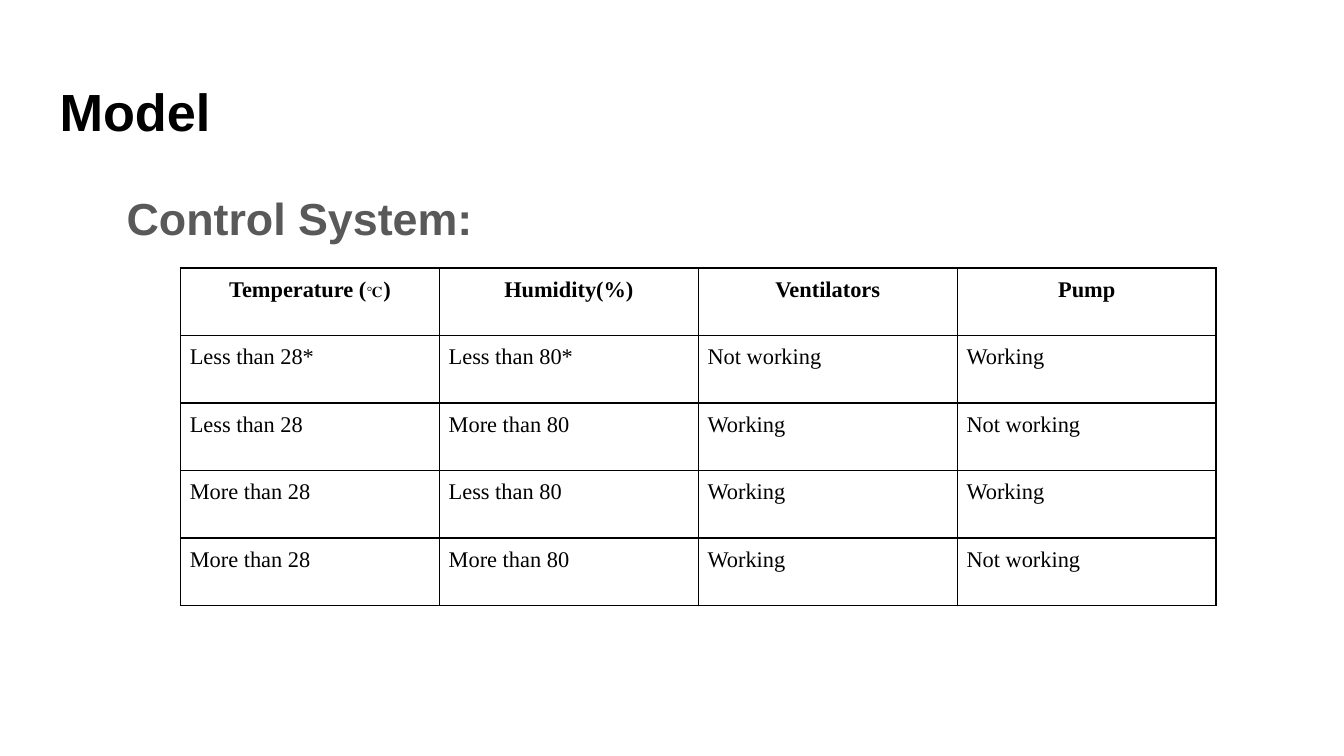
from dataclasses import dataclass

from lxml import etree
from pptx import Presentation
from pptx.dml.color import RGBColor
from pptx.enum.text import MSO_ANCHOR, MSO_AUTO_SIZE, PP_ALIGN
from pptx.oxml.ns import qn
from pptx.util import Pt

PX = 5715  # 160 px to the inch
TOP = MSO_ANCHOR.TOP
FIXED = MSO_AUTO_SIZE.NONE
LEFT, CENTER = PP_ALIGN.LEFT, PP_ALIGN.CENTER
TITLE_ONLY = 5


@dataclass(frozen=True)
class Theme:
    sans: str = "Arial"
    serif: str = "Times New Roman"
    black: str = "000000"
    gray: str = "595959"
    title: int = 28
    head: int = 24
    cell: int = 12
    unit: int = 8


THEME = Theme()

HEADS = [
    [("Temperature (", THEME.cell), ("℃", THEME.unit), (")", THEME.cell)],
    [("Humidity(%)", THEME.cell)],
    [("Ventilators", THEME.cell)],
    [("Pump", THEME.cell)],
]
ROWS = [
    ("Less than 28*", "Less than 80*", "Not working", "Working"),
    ("Less than 28", "More than 80", "Working", "Not working"),
    ("More than 28", "Less than 80", "Working", "Working"),
    ("More than 28", "More than 80", "Working", "Not working"),
]


def px(*sizes):
    return [size * PX for size in sizes]


def add_run(para, text, size, font, color, bold):
    run = para.add_run()
    run.text = text
    run.font.size = Pt(size)
    run.font.name = font
    run.font.bold = bold
    run.font.color.rgb = RGBColor.from_string(color)


def set_frame(shape, pad):
    """Fix the frame's size, inset and anchor; return its first paragraph."""
    frame = shape.text_frame
    frame.word_wrap = True
    frame.auto_size = FIXED
    frame.vertical_anchor = TOP
    frame.margin_left = frame.margin_right = pad * PX
    frame.margin_top = frame.margin_bottom = pad * PX
    para = frame.paragraphs[0]
    para.alignment = LEFT
    return para


def add_title(slide, box):
    title = slide.shapes.title
    title.left, title.top, title.width, title.height = px(*box)
    para = set_frame(title, 16)
    add_run(para, "Model", THEME.title, THEME.sans, THEME.black, True)


def add_body(slide, box):
    para = set_frame(slide.shapes.add_textbox(*px(*box)), 16)
    props = para._p.get_or_add_pPr()
    props.set("marL", str(80 * PX))
    props.set("indent", "0")
    para.line_spacing = 1.15
    para.space_after = Pt(16)
    add_run(para, "Control System:", THEME.head, THEME.sans, THEME.gray, True)


def add_border(cell):
    """Draw a 1 pt line on all four sides, ahead of the cell's fill."""
    props = cell._tc.get_or_add_tcPr()
    for i, side in enumerate(("a:lnL", "a:lnR", "a:lnT", "a:lnB")):
        line = etree.Element(qn(side), w=str(int(Pt(1))))
        fill = etree.SubElement(line, qn("a:solidFill"))
        etree.SubElement(fill, qn("a:srgbClr"), val=THEME.black)
        props.insert(i, line)


def fill_cell(cell, runs, head):
    cell.fill.background()
    add_border(cell)
    cell.vertical_anchor = TOP
    cell.margin_left = cell.margin_right = 11 * PX
    cell.margin_top = cell.margin_bottom = 11 * PX
    para = cell.text_frame.paragraphs[0]
    para.alignment = CENTER if head else LEFT
    for text, size in runs:
        add_run(para, text, size, THEME.serif, THEME.black, head)


def add_rules(slide, box):
    """Place the table of control rules in equal rows and columns."""
    lines = [HEADS] + [[[(text, THEME.cell)] for text in row] for row in ROWS]
    table = slide.shapes.add_table(len(lines), len(HEADS), *px(*box)).table
    table.first_row = table.horz_banding = False
    for r, line in enumerate(lines):
        for c, runs in enumerate(line):
            fill_cell(table.cell(r, c), runs, r == 0)


def main():
    deck = Presentation()
    deck.slide_width, deck.slide_height = px(1600, 900)
    slide = deck.slides.add_slide(deck.slide_layouts[TITLE_ONLY])
    add_title(slide, (55, 78, 1491, 100))
    add_body(slide, (55, 202, 1491, 598))
    add_rules(slide, (215, 319, 1233, 402))
    deck.save("out.pptx")


if __name__ == "__main__":
    main()
